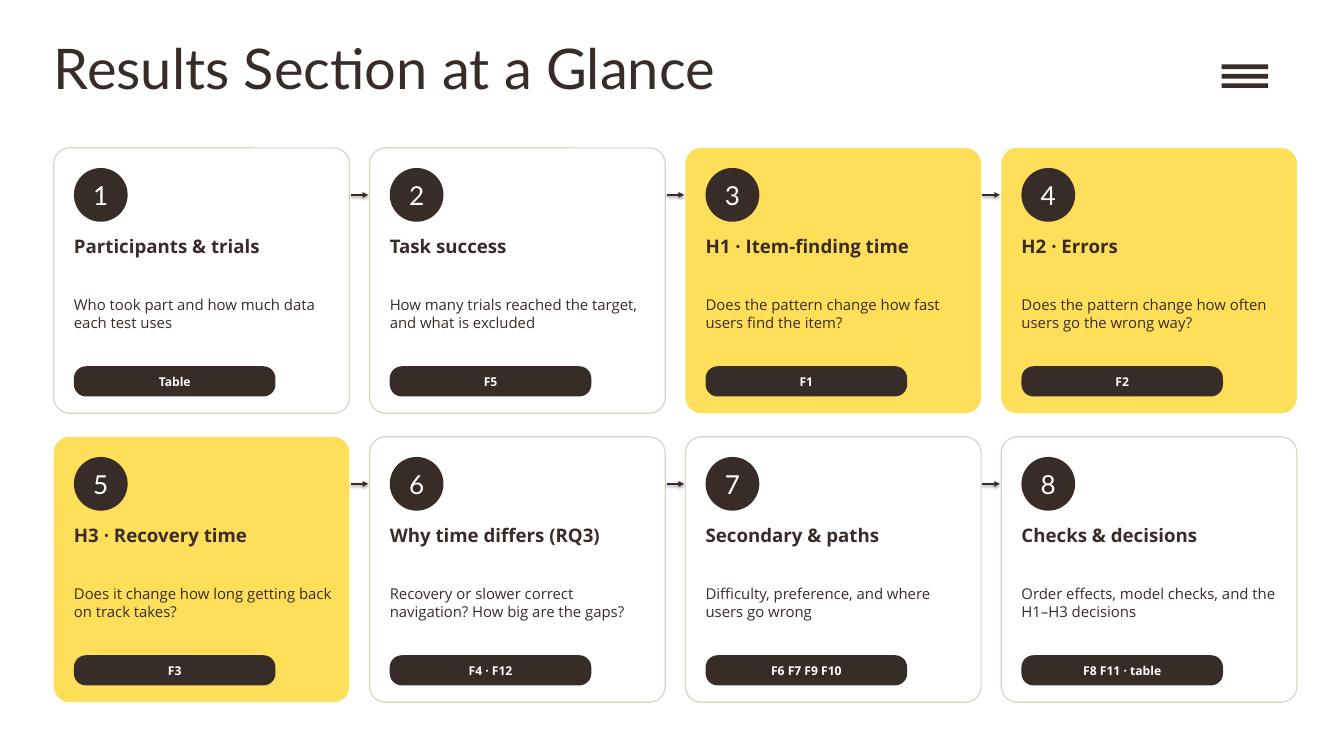
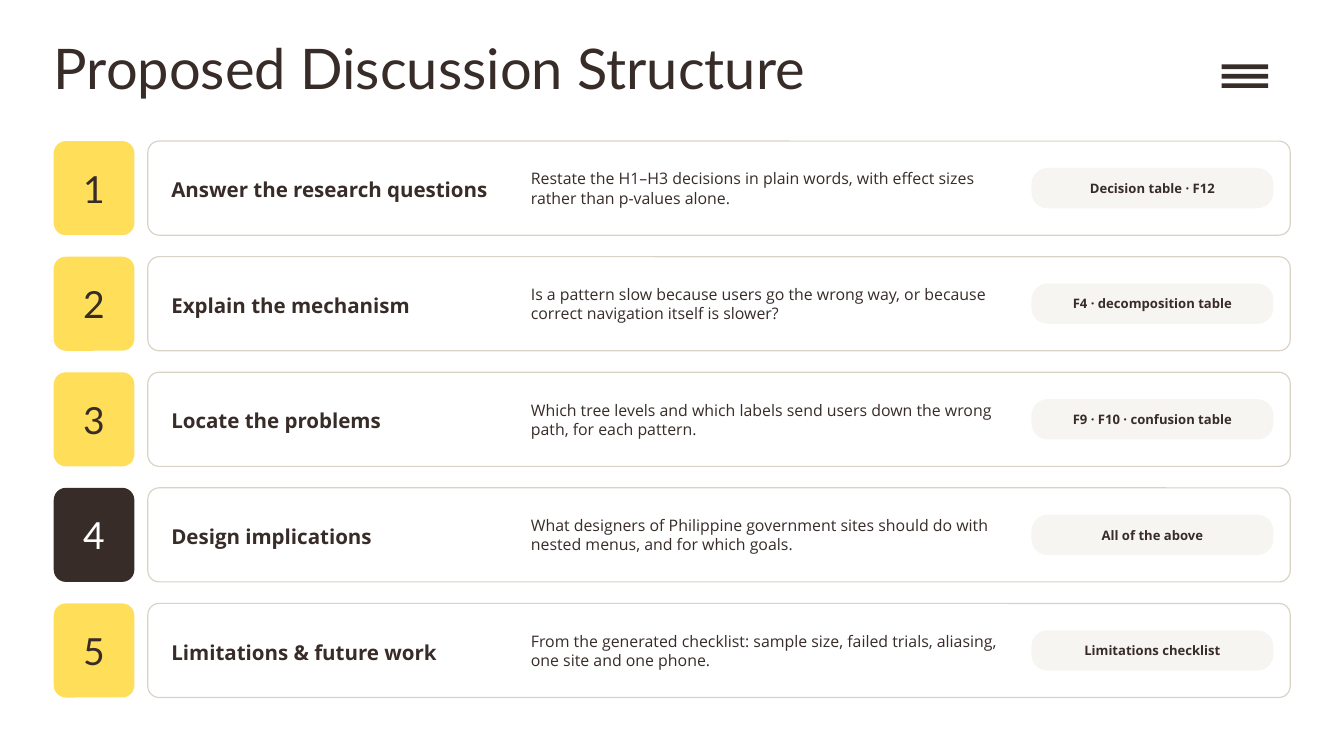
from lxml.etree import SubElement
from pptx import Presentation
from pptx.dml.color import RGBColor as Rgb
from pptx.enum.shapes import MSO_CONNECTOR as Line, MSO_SHAPE as Form
from pptx.enum.text import MSO_ANCHOR as Anchor, MSO_AUTO_SIZE as Auto, PP_ALIGN as Align
from pptx.oxml.ns import qn
from pptx.util import Pt

PX = 9144
INK = {"dark": "382C29", "gold": "FFDE59", "white": "FFFFFF", "edge": "D9D2C5", "pale": "F7F5F1"}
HEAD, BODY = "Lato", "Open Sans"

STEPS = [
    ("Participants & trials", "Who took part and how much data each test uses", "Table"),
    ("Task success", "How many trials reached the target, and what is excluded", "F5"),
    ("H1 · Item-finding time", "Does the pattern change how fast users find the item?", "F1"),
    ("H2 · Errors", "Does the pattern change how often users go the wrong way?", "F2"),
    ("H3 · Recovery time", "Does it change how long getting back on track takes?", "F3"),
    ("Why time differs (RQ3)", "Recovery or slower correct navigation? How big are the gaps?",
     "F4 · F12"),
    ("Secondary & paths", "Difficulty, preference, and where users go wrong", "F6 F7 F9 F10"),
    ("Checks & decisions", "Order effects, model checks, and the H1–H3 decisions",
     "F8 F11 · table"),
]
TOPICS = [
    ("Answer the research questions",
     "Restate the H1–H3 decisions in plain words, with effect sizes rather than p-values alone.",
     "Decision table · F12"),
    ("Explain the mechanism",
     "Is a pattern slow because users go the wrong way, or because correct navigation itself is slower?",
     "F4 · decomposition table"),
    ("Locate the problems",
     "Which tree levels and which labels send users down the wrong path, for each pattern.",
     "F9 · F10 · confusion table"),
    ("Design implications",
     "What designers of Philippine government sites should do with nested menus, and for which goals.",
     "All of the above"),
    ("Limitations & future work",
     "From the generated checklist: sample size, failed trials, aliasing, one site and one phone.",
     "Limitations checklist"),
]


def emu(*sizes):
    """Turn px lengths into EMU."""
    return [size * PX for size in sizes]


def write(frame, text, size, font=BODY, color="dark", bold=False, align=Align.LEFT,
          anchor=Anchor.TOP, after=0, side=0, edge=0):
    """Put one formatted paragraph into a text frame."""
    frame.word_wrap = True
    frame.vertical_anchor = anchor
    frame.margin_left = frame.margin_right = side * PX
    frame.margin_top = frame.margin_bottom = edge * PX
    para = frame.paragraphs[0]
    para.alignment = align
    para.space_after = Pt(after)
    run = para.add_run()
    run.text = text
    run.font.name, run.font.size, run.font.bold = font, Pt(size), bold
    run.font.color.rgb = Rgb.from_string(INK[color])


class Deck:
    """Hold the shared style and the current slide."""

    def __init__(self):
        """Start an empty wide deck."""
        self.show = Presentation()
        self.show.slide_width, self.show.slide_height = emu(2000, 1125)
        self.page = None

    def start(self, title):
        """Add a slide with its title and menu bars."""
        self.page = self.show.slides.add_slide(self.show.slide_layouts[6])
        self.label(title, (80, 50, 1650, 135), 60, font=HEAD)
        menu = self.page.shapes.add_group_shape()
        for row in range(3):
            self.box(Form.RECTANGLE, (1818, 96 + 14 * row, 69, 7), "dark", home=menu)

    def box(self, form, area, fill, edge=None, bend=None, home=None):
        """Draw a filled shape, with an outline if an edge colour is given."""
        shape = (home or self.page).shapes.add_shape(form, *emu(*area))
        shape.shadow.inherit = False
        shape.fill.solid()
        shape.fill.fore_color.rgb = Rgb.from_string(INK[fill])
        if bend:
            shape.adjustments[0] = bend
        if edge:
            shape.line.color.rgb = Rgb.from_string(INK[edge])
            shape.line.width = Pt(1.25)
        else:
            shape.line.fill.background()
        return shape

    def card(self, area, bend, fill="white"):
        """Draw a rounded card; only white cards are outlined."""
        self.box(Form.ROUNDED_RECTANGLE, area, fill, "edge" if fill == "white" else None, bend)

    def badge(self, text, area, size, fill="dark", color="white", form=Form.ROUNDED_RECTANGLE,
              bend=None, **style):
        """Draw a shape with centred text."""
        shape = self.box(form, area, fill, bend=bend)
        write(shape.text_frame, text, size, color=color, align=Align.CENTER,
              anchor=Anchor.MIDDLE, after=2, edge=6, **style)

    def label(self, text, area, size, **style):
        """Place a text box."""
        frame = self.page.shapes.add_textbox(*emu(*area)).text_frame
        write(frame, text, size, **style)
        frame.auto_size = Auto.SHAPE_TO_FIT_TEXT

    def arrow(self, left, top, width):
        """Draw an arrow to the right."""
        line = self.page.shapes.add_connector(
            Line.STRAIGHT, *emu(left, top, left + width, top)).line
        line.color.rgb = Rgb.from_string(INK["dark"])
        line.width = Pt(2)
        SubElement(line._get_or_add_ln(), qn("a:tailEnd"), type="triangle")


def results(deck):
    """Build the grid of result steps."""
    deck.start("Results Section at a Glance")
    for spot, (name, note, source) in enumerate(STEPS):
        row, col = divmod(spot, 4)
        left, top = 80 + 470 * col, 220 + 430 * row
        inner = left + 30
        deck.card((left, top, 440, 395), 0.06, "gold" if name.startswith("H") else "white")
        deck.badge(str(spot + 1), (inner, top + 30, 80, 80), 28, form=Form.OVAL, font=HEAD)
        deck.label(name, (inner, top + 130, 385, 95), 20, bold=True, after=6)
        deck.label(note, (inner, top + 220, 385, 110), 16, after=6)
        deck.badge(source, (inner, top + 325, 300, 45), 13, bend=0.4, bold=True, side=5)
        if col < 3:
            deck.arrow(left + 442, top + 70, 26)


def topics(deck):
    """Build the rows of discussion topics."""
    deck.start("Proposed Discussion Structure")
    for row, (name, note, source) in enumerate(TOPICS):
        top = 210 + 172 * row
        fill, color = ("dark", "white") if name == "Design implications" else ("gold", "dark")
        deck.badge(str(row + 1), (80, top, 120, 140), 40, fill, color, bend=0.15, font=HEAD)
        deck.card((220, top, 1700, 140), 0.12)
        deck.label(name, (255, top + 17, 530, 110), 22, bold=True, anchor=Anchor.MIDDLE, after=6)
        deck.label(note, (790, top + 10, 720, 120), 17, anchor=Anchor.MIDDLE, after=6)
        deck.badge(source, (1535, top + 40, 360, 60), 14, "pale", "dark", bend=0.4,
                   bold=True, side=8)


def main():
    """Build and save the deck."""
    deck = Deck()
    results(deck)
    topics(deck)
    deck.show.save("out.pptx")


if __name__ == "__main__":
    main()
